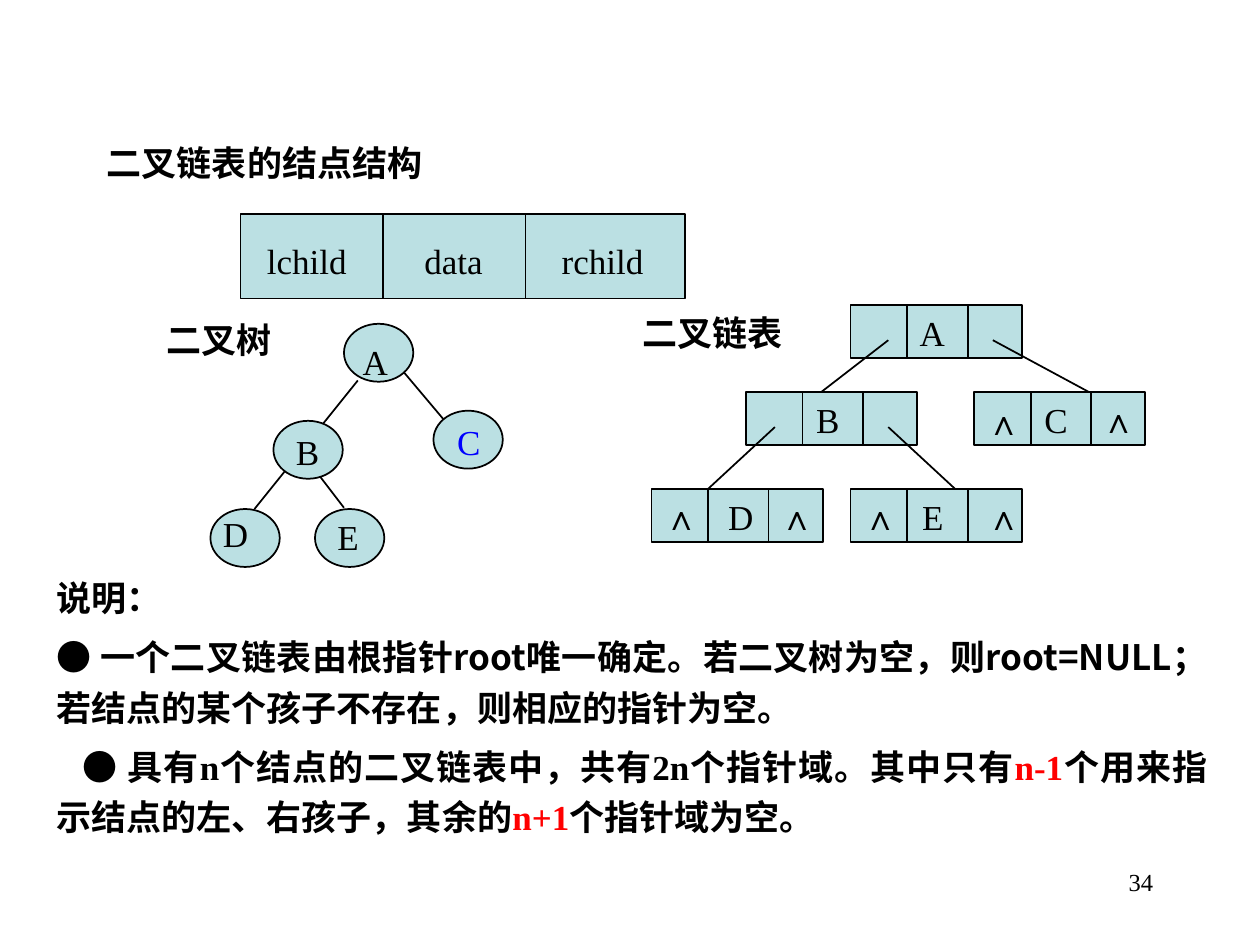
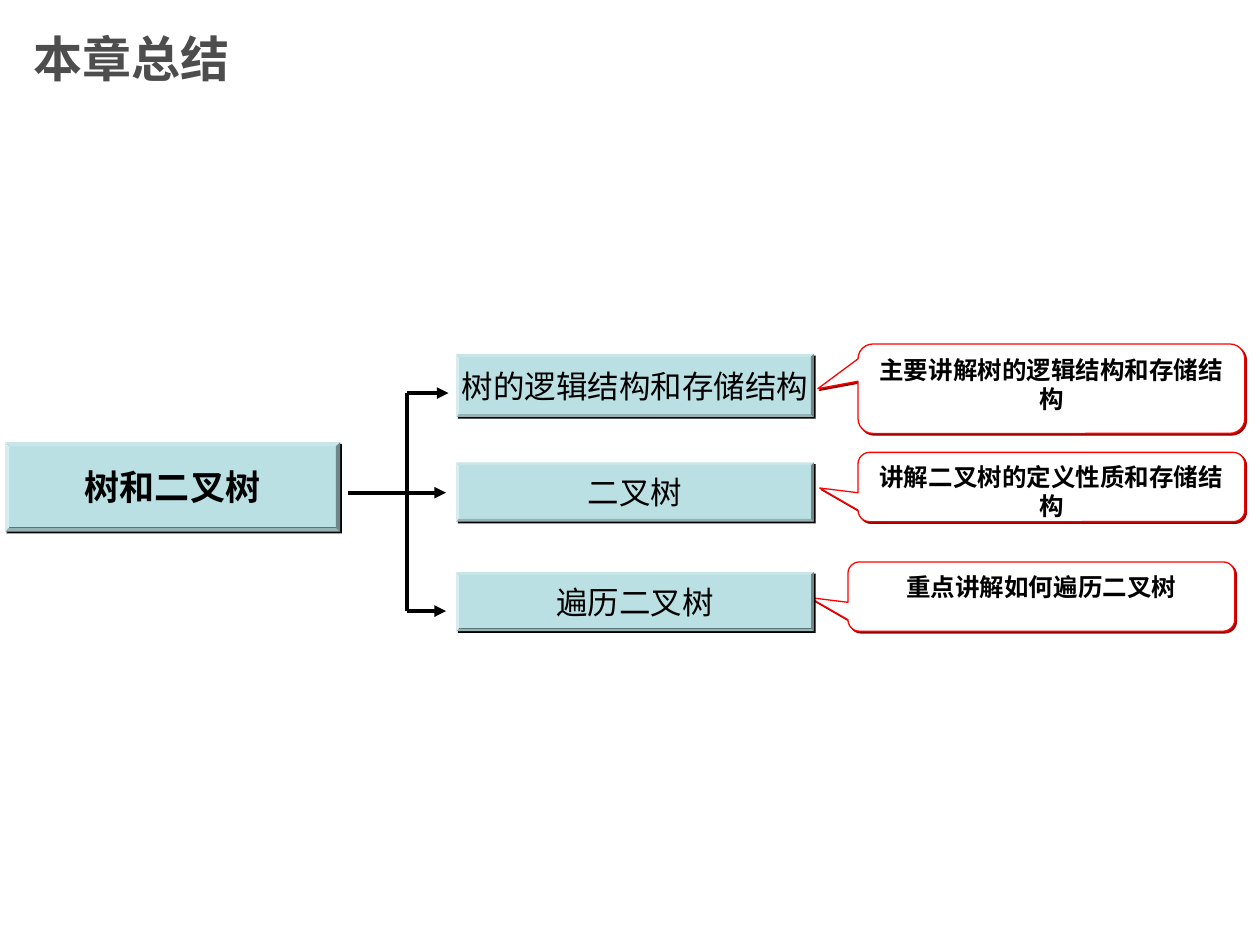
from lxml.etree import SubElement
from pptx import Presentation
from pptx.dml.color import RGBColor
from pptx.enum.shapes import MSO_CONNECTOR, MSO_SHAPE
from pptx.enum.text import MSO_ANCHOR, PP_ALIGN
from pptx.oxml.ns import qn
from pptx.util import Inches, Pt

BLACK = RGBColor(0x00, 0x00, 0x00)
WHITE = RGBColor(0xFF, 0xFF, 0xFF)
TEAL = RGBColor(0xBB, 0xE0, 0xE3)
GRAY = RGBColor(0x4D, 0x4D, 0x4D)
BLUE = RGBColor(0x00, 0x00, 0xFF)
RED = RGBColor(0xFF, 0x00, 0x00)
DARK_RED = RGBColor(0x99, 0x00, 0x00)

SERIF = "Times New Roman"
CHINESE = "Noto Sans CJK SC"
SANS = "Arial"
NARROW = "Arial Narrow"
NIL = "∧"


def add_run(paragraph, text, size=20, font=SERIF, color=BLACK, bold=False):
    run = paragraph.add_run()
    run.text = text
    run.font.size = Pt(size)
    run.font.name = font
    run.font.bold = bold
    run.font.color.rgb = color
    SubElement(run.font._element, qn("a:ea"), typeface=CHINESE)


def add_text_box(slide, left, top, width, height, wrap=True):
    text_box = slide.shapes.add_textbox(
        Inches(left), Inches(top), Inches(width), Inches(height))
    text_box.text_frame.word_wrap = wrap
    return text_box.text_frame


def add_label(slide, text, left, top, width=0.55, height=0.44, **style):
    frame = add_text_box(slide, left, top, width, height)
    add_run(frame.paragraphs[0], text, **style)
    return frame


def add_filled_shape(slide, kind, left, top, width, height,
                     fill=TEAL, line=BLACK, line_width=1.0):
    shape = slide.shapes.add_shape(
        kind, Inches(left), Inches(top), Inches(width), Inches(height))
    shape.shadow.inherit = False
    shape.fill.solid()
    shape.fill.fore_color.rgb = fill
    if line is None:
        shape.line.fill.background()
    else:
        shape.line.color.rgb = line
        shape.line.width = Pt(line_width)
    return shape


def add_line(slide, start, end, width=1.0, arrow=False):
    connector = slide.shapes.add_connector(
        MSO_CONNECTOR.STRAIGHT, *(Inches(value) for value in (*start, *end)))
    connector.line.color.rgb = BLACK
    connector.line.width = Pt(width)
    if arrow:
        SubElement(connector.line._get_or_add_ln(), qn("a:tailEnd"), type="triangle")
    SubElement(connector._element.spPr, qn("a:effectLst"))


def add_hard_shadow(shape, color):
    effects = shape._element.spPr.find(qn("a:effectLst"))
    shadow = SubElement(effects, qn("a:outerShdw"), dist=str(Pt(1.4)),
                        dir="2700000", algn="ctr", rotWithShape="0")
    SubElement(shadow, qn("a:srgbClr"), val=str(color))


def add_record(slide, left, top, width, height, dividers):
    add_filled_shape(slide, MSO_SHAPE.RECTANGLE, left, top, width, height)
    for offset in dividers:
        add_line(slide, (left + offset, top), (left + offset, top + height))


def add_node_structure(slide, left, top):
    add_record(slide, left, top, 3.53, 0.67, (1.13, 2.26))
    for field, offset in (("lchild", 0.11), ("data", 1.36), ("rchild", 2.45)):
        add_label(slide, field, left + offset, top + 0.15, 1.1)


def add_binary_tree(slide, left, top):
    nodes = (
        ("A", 1.06, 0, 0.05, 0.08, BLACK),
        ("B", 0.5, 0.77, 0.08, 0.03, BLACK),
        ("C", 1.77, 0.69, 0.09, 0.03, BLUE),
        ("D", 0, 1.47, 0, -0.02, BLACK),
        ("E", 0.83, 1.47, 0.08, 0, BLACK),
    )
    edges = (
        ((1.17, 0.45), (0.35, 1.47)),
        ((1.54, 0.39), (1.86, 0.77)),
        ((0.83, 1.16), (1.06, 1.46)),
    )
    for (start_x, start_y), (end_x, end_y) in edges:
        add_line(slide, (left + start_x, top + start_y), (left + end_x, top + end_y))
    for name, x, y, label_x, label_y, color in nodes:
        add_filled_shape(slide, MSO_SHAPE.OVAL, left + x, top + y, 0.55, 0.46)
        add_label(slide, name, left + x + label_x, top + y + label_y, color=color)
    add_label(slide, "二叉树", left - 0.45, top - 0.09, 1.5, bold=True)


def add_linked_list(slide, left, top):
    records = (
        ("A", 1.58, 0, 0.45, ()),
        ("B", 0.75, 0.69, 0.46, ()),
        ("C", 2.56, 0.69, 0.46, ((0, 0.02), (0.91, 0))),
        ("D", 0, 1.46, 0.51, ((0, 0), (0.92, 0))),
        ("E", 1.58, 1.46, 0.47, ((0, 0), (0.98, 0))),
    )
    pointers = (
        ((1.88, 0.28), (1.35, 0.69)),
        ((2.71, 0.28), (3.47, 0.69)),
        ((0.98, 0.97), (0.45, 1.46)),
        ((1.88, 0.97), (2.41, 1.46)),
    )
    for name, x, y, label_x, nil_offsets in records:
        add_record(slide, left + x, top + y, 1.36, 0.42, (0.45, 0.93))
        add_label(slide, name, left + x + label_x, top + y, 0.53)
        for nil_x, nil_y in nil_offsets:
            add_label(slide, NIL, left + x + nil_x, top + y + nil_y, 0.53, bold=True)
    for (start_x, start_y), (end_x, end_y) in pointers:
        add_line(slide, (left + start_x, top + start_y), (left + end_x, top + end_y))
    add_label(slide, "二叉链表", left - 0.17, top, 1.58, bold=True)


def add_explanation(slide, left, top, width, height):
    paragraphs = (
        (0, (("说明：", CHINESE, BLACK),)),
        (0, (("● ", SANS, BLACK),
             ("一个二叉链表由根指针root唯一确定。若二叉树为空，则root=NULL；"
              "若结点的某个孩子不存在，则相应的指针为空。", CHINESE, BLACK))),
        (0.21, (("● ", SANS, BLACK),
                ("具有", CHINESE, BLACK),
                ("n", SERIF, BLACK),
                ("个结点的二叉链表中，共有", CHINESE, BLACK),
                ("2n", SERIF, BLACK),
                ("个指针域。其中只有", CHINESE, BLACK),
                ("n-1", SERIF, RED),
                ("个用来指示结点的左、右孩子，其余的", CHINESE, BLACK),
                ("n+1", SERIF, RED),
                ("个指针域为空。", CHINESE, BLACK))),
    )
    frame = add_text_box(slide, left, top, width, height)
    for index, (indent, runs) in enumerate(paragraphs):
        paragraph = frame.add_paragraph() if index else frame.paragraphs[0]
        paragraph.alignment = PP_ALIGN.JUSTIFY
        paragraph.line_spacing = 1.2
        paragraph.space_before = Pt(5)
        paragraph._p.get_or_add_pPr().set("indent", str(Inches(indent)))
        for text, font, color in runs:
            add_run(paragraph, text, font=font, color=color, bold=True)


def add_topic(slide, text, left, top, width, height, **style):
    shape = add_filled_shape(slide, MSO_SHAPE.BEVEL, left, top, width, height, line=None)
    shape.adjustments[0] = 0.047
    add_hard_shadow(shape, BLACK)
    frame = shape.text_frame
    frame.word_wrap = False
    frame.vertical_anchor = MSO_ANCHOR.MIDDLE
    frame.paragraphs[0].alignment = PP_ALIGN.CENTER
    add_run(frame.paragraphs[0], text, **style)


def add_callout(slide, text, left, top, height, pointer):
    shape = add_filled_shape(slide, MSO_SHAPE.ROUNDED_RECTANGULAR_CALLOUT,
                             left, top, 3.07, height, WHITE, RED, 0.75)
    for index, value in enumerate((*pointer, 0.167)):
        shape.adjustments[index] = value
    add_hard_shadow(shape, DARK_RED)
    frame = shape.text_frame
    frame.word_wrap = True
    frame.vertical_anchor = MSO_ANCHOR.TOP
    frame.paragraphs[0].alignment = PP_ALIGN.CENTER
    add_run(frame.paragraphs[0], text, size=14, font=NARROW, bold=True)


def add_branches(slide, left, top):
    spine = left + 0.47
    middle, bottom = top + 0.79, top + 1.73
    add_line(slide, (spine, top), (spine, bottom), 2.25)
    add_line(slide, (left, middle), (spine, middle), 2.25)
    for y, length in ((top, 0.33), (middle, 0.31), (bottom, 0.31)):
        add_line(slide, (spine, y), (spine + length, y), 2.25, arrow=True)


def add_chapter_map(slide, left, top):
    topics = (
        ("树的逻辑结构和存储结构", NARROW, 0.08, 0.5),
        ("二叉树", CHINESE, 0.94, 0.47),
        ("遍历二叉树", CHINESE, 1.81, 0.47),
    )
    callouts = (
        ("主要讲解树的逻辑结构和存储结构", 6.77, 0, 0.71, (-0.604, 0)),
        ("讲解二叉树的定义性质和存储结构", 6.77, 0.86, 0.55, (-0.599, 0.014)),
        ("重点讲解如何遍历二叉树", 6.69, 1.73, 0.55, (-0.599, 0.014)),
    )
    for text, x, y, height, pointer in callouts:
        add_callout(slide, text, left + x, top + y, height, pointer)
    add_topic(slide, "树和二叉树", left, top + 0.78, 2.66, 0.71,
              font=CHINESE, bold=True)
    add_branches(slide, left + 2.72, top + 0.39)
    for text, font, y, height in topics:
        add_topic(slide, text, left + 3.58, top + y, 2.84, height, size=18, font=font)


def add_title(slide, text):
    frame = add_label(slide, text, 0.17, 0, 7.5, 0.92,
                      size=28, font=SANS, color=GRAY, bold=True)
    frame.vertical_anchor = MSO_ANCHOR.MIDDLE


def add_page_number(slide, number):
    frame = add_label(slide, number, 7.17, 6.83, 2.08, 0.5, size=14)
    frame.paragraphs[0].alignment = PP_ALIGN.RIGHT


def build_linked_list_slide(slide):
    add_page_number(slide, "34")
    add_label(slide, "二叉链表的结点结构", 0.75, 1.07, 3.33, 0.5,
              font=CHINESE, bold=True)
    add_node_structure(slide, 1.91, 1.7)
    add_binary_tree(slide, 1.67, 2.57)
    add_linked_list(slide, 5.17, 2.42)
    add_explanation(slide, 0.35, 4.46, 9.33, 2.24)


def build_summary_slide(slide):
    add_title(slide, "本章总结")
    add_chapter_map(slide, 0.04, 2.73)


def main():
    presentation = Presentation()
    presentation.slide_width = Inches(10)
    presentation.slide_height = Inches(7.5)
    blank = presentation.slide_layouts[6]
    for build in (build_linked_list_slide, build_summary_slide):
        build(presentation.slides.add_slide(blank))
    presentation.save("out.pptx")


if __name__ == "__main__":
    main()
